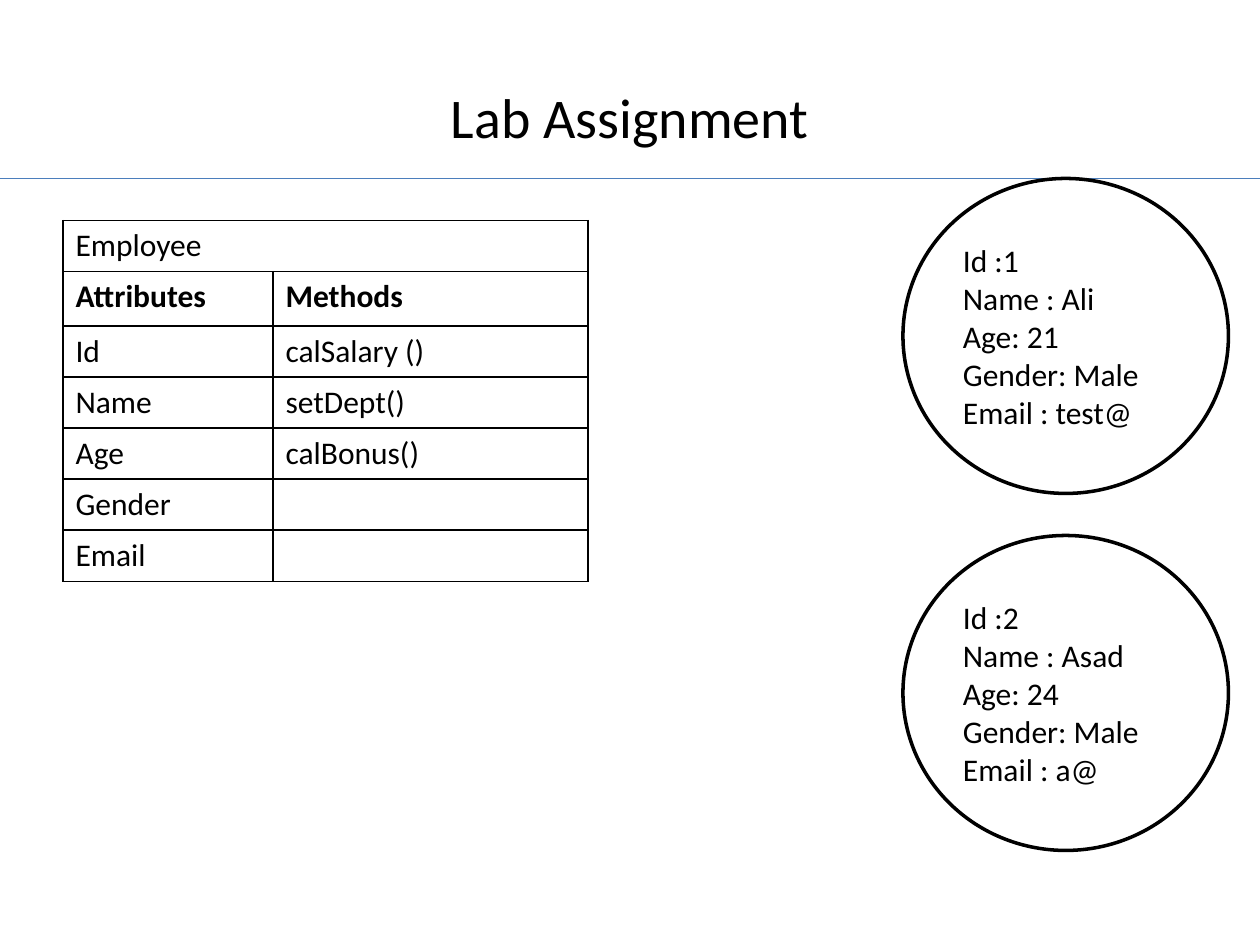
import pptx
import pptx.util
import pptx.dml.color
import pptx.enum.shapes
import pptx.enum.text
import pptx.oxml.ns
import lxml.etree

Pt = pptx.util.Pt
RGB = pptx.dml.color.RGBColor
BLACK = RGB(0x00, 0x00, 0x00)
WHITE = RGB(0xFF, 0xFF, 0xFF)
BLUE = RGB(0x4B, 0x7E, 0xBC)
FONT = "Calibri"
ALIGN = pptx.enum.text.PP_ALIGN
MIDDLE = pptx.enum.text.MSO_ANCHOR.MIDDLE

TITLE = "Lab Assignment"
ROWS = [
    ("Employee", ""),
    ("Attributes", "Methods"),
    ("Id", "calSalary ()"),
    ("Name", "setDept()"),
    ("Age", "calBonus()"),
    ("Gender", ""),
    ("Email", ""),
]
WIDTHS = [120, 180]
HEAD = 1
PEOPLE = [
    ["Id :1", "Name : Ali", "Age: 21", "Gender: Male", "Email : test@"],
    ["Id :2", "Name : Asad", "Age: 24", "Gender: Male", "Email : a@"],
]


def style(para, size, align, bold=False):
    para.alignment = align
    para.font.name = FONT
    para.font.size = Pt(size)
    para.font.bold = bold
    para.font.color.rgb = BLACK


def border(cell):
    props = cell._tc.get_or_add_tcPr()
    qn = pptx.oxml.ns.qn
    for side in ("a:lnL", "a:lnR", "a:lnT", "a:lnB"):
        line = lxml.etree.SubElement(props, qn(side), w=str(Pt(1)))
        fill = lxml.etree.SubElement(line, qn("a:solidFill"))
        lxml.etree.SubElement(fill, qn("a:srgbClr"), val=str(BLACK))


def add_title(slide):
    title = slide.shapes.title
    title.left, title.top, title.width, title.height = Pt(36), Pt(21.6), Pt(648), Pt(90)
    title.text_frame.text = TITLE
    title.text_frame.vertical_anchor = MIDDLE
    style(title.text_frame.paragraphs[0], 32, ALIGN.CENTER)


def add_rule(slide):
    rule = slide.shapes.add_connector(
        pptx.enum.shapes.MSO_CONNECTOR.STRAIGHT, Pt(0), Pt(102), Pt(720), Pt(102))
    rule.line.color.rgb = BLUE
    rule.line.width = Pt(0.75)
    lxml.etree.SubElement(rule._element.spPr, pptx.oxml.ns.qn("a:effectLst"))


def add_grid(slide):
    heights = [31 if row == HEAD else 28.8 for row in range(len(ROWS))]
    grid = slide.shapes.add_table(
        len(ROWS), len(WIDTHS), Pt(36), Pt(126), Pt(sum(WIDTHS)), Pt(sum(heights))).table
    grid.first_row = grid.horz_banding = False
    for col, width in zip(grid.columns, WIDTHS):
        col.width = Pt(width)
    for r, words in enumerate(ROWS):
        grid.rows[r].height = Pt(heights[r])
        for c, word in enumerate(words):
            cell = grid.cell(r, c)
            cell.text = word
            style(cell.text_frame.paragraphs[0], 18, ALIGN.LEFT, r == HEAD)
            border(cell)
            cell.fill.background()
    grid.cell(0, 0).merge(grid.cell(0, 1))


def add_person(slide, top, lines):
    oval = slide.shapes.add_shape(
        pptx.enum.shapes.MSO_SHAPE.OVAL, Pt(516), Pt(top), Pt(186), Pt(180))
    oval.shadow.inherit = False
    oval.fill.solid()
    oval.fill.fore_color.rgb = WHITE
    oval.line.color.rgb = BLACK
    oval.line.width = Pt(2)
    frame = oval.text_frame
    frame.text = "\n".join(lines)
    frame.vertical_anchor = MIDDLE
    for para in frame.paragraphs:
        style(para, 18, ALIGN.LEFT)


def main():
    deck = pptx.Presentation()
    deck.slide_width, deck.slide_height = Pt(720), Pt(540)
    slide = deck.slides.add_slide(deck.slide_layouts[5])
    add_rule(slide)
    add_title(slide)
    add_grid(slide)
    for i, lines in enumerate(PEOPLE):
        add_person(slide, 102 + 204 * i, lines)
    deck.save("out.pptx")


if __name__ == "__main__":
    main()
